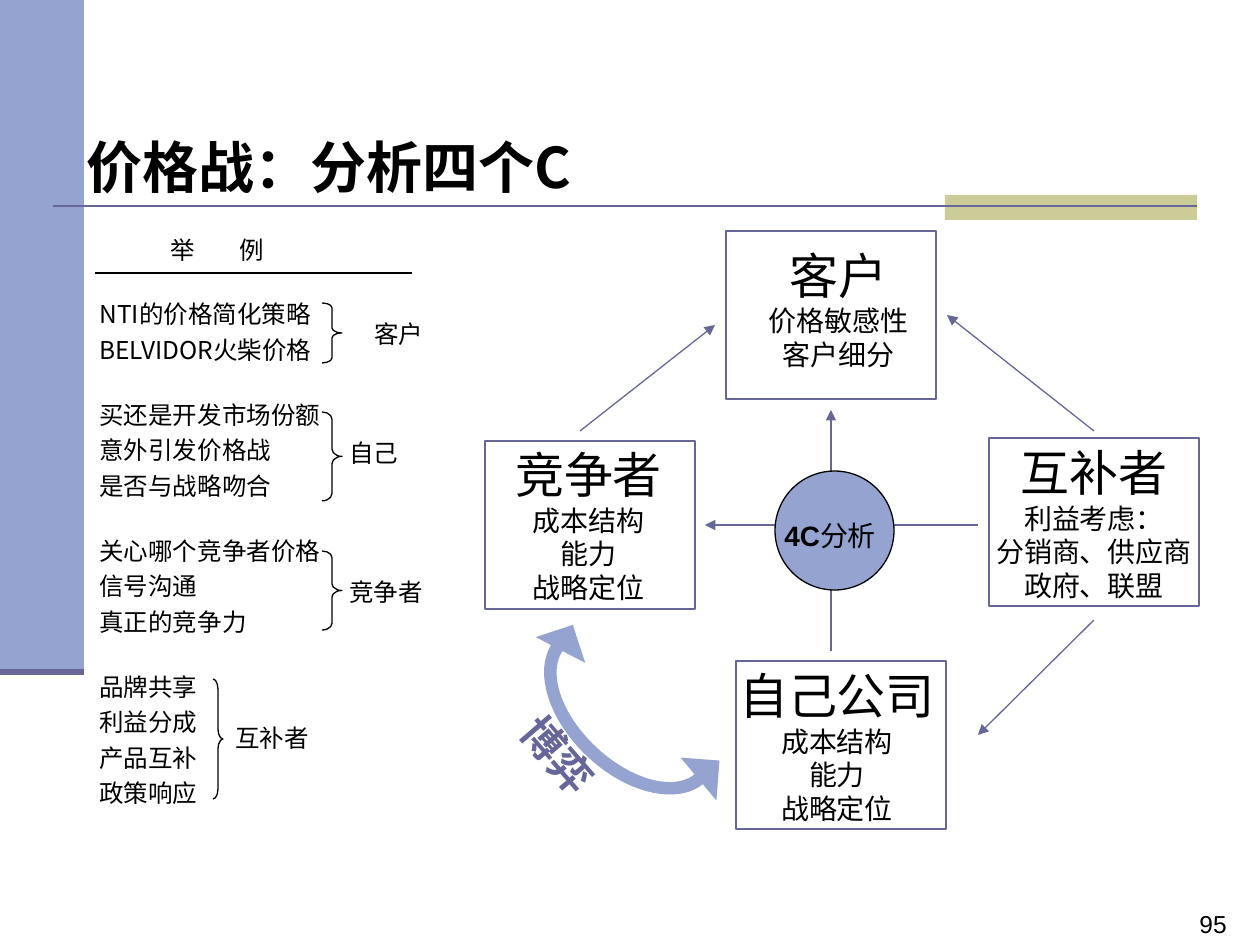
from dataclasses import dataclass

import pptx
import pptx.dml.color
import pptx.enum.shapes
import pptx.enum.text
import pptx.oxml.ns
import pptx.util
from lxml import etree

RGB = pptx.dml.color.RGBColor
SHAPE = pptx.enum.shapes.MSO_SHAPE
ALIGN = pptx.enum.text.PP_ALIGN
ANCHOR = pptx.enum.text.MSO_ANCHOR
Pt = pptx.util.Pt
qn = pptx.oxml.ns.qn

BLUE = RGB(0x95, 0xA3, 0xD1)
VIOLET = RGB(0x66, 0x66, 0x99)
KHAKI = RGB(0xCC, 0xCC, 0x99)
BLACK = RGB(0, 0, 0)
SANS = "Noto Sans CJK SC"
ARIAL = "Arial"
PX_PER_INCH = 126

HEADING = {"size": Pt(28), "name": ARIAL}
DETAIL = {"size": Pt(16), "name": ARIAL}
SMALL = {"size": Pt(14), "name": SANS}


@dataclass(frozen=True)
class Box:
    x: int
    y: int
    w: int
    h: int


@dataclass(frozen=True)
class Party:
    frame: Box
    text: Box
    heading: str
    details: tuple[str, ...]


@dataclass(frozen=True)
class ExampleGroup:
    lines: tuple[str, ...]
    brace: Box
    label: str
    label_box: Box


PARTIES = (
    Party(Box(726, 231, 210, 168), Box(756, 239, 165, 139), "客户", ("价格敏感性", "客户细分")),
    Party(Box(485, 441, 210, 168), Box(503, 438, 171, 173), "竞争者", ("成本结构", "能力", "战略定位")),
    Party(Box(736, 661, 210, 168), Box(727, 659, 220, 173), "自己公司", ("成本结构", "能力", "战略定位")),
    Party(Box(989, 438, 210, 168), Box(984, 436, 220, 173), "互补者",
          ("利益考虑：", "分销商、供应商", "政府、联盟")),
)
GROUPS = (
    ExampleGroup(("NTI的价格简化策略", "BELVIDOR火柴价格"),
                 Box(322, 303, 20, 60), "客户", Box(362, 313, 74, 43)),
    ExampleGroup(("买还是开发市场份额", "意外引发价格战", "是否与战略吻合"),
                 Box(322, 412, 20, 89), "自己", Box(337, 432, 74, 43)),
    ExampleGroup(("关心哪个竞争者价格", "信号沟通", "真正的竞争力"),
                 Box(322, 551, 20, 79), "竞争者", Box(337, 571, 98, 43)),
    ExampleGroup(("品牌共享", "利益分成", "产品互补", "政策响应"),
                 Box(213, 679, 10, 120), "互补者", Box(223, 717, 98, 43)),
)
# Start x, start y, end x, end y
ARROWS = (
    (580, 431, 715, 325),
    (1094, 431, 947, 315),
    (1094, 620, 978, 735),
    (831, 651, 831, 410),
    (978, 525, 705, 525),
)


def px(n: int) -> pptx.util.Emu:
    return pptx.util.Emu(round(n * 914400 / PX_PER_INCH))


def place(box: Box) -> tuple:
    return px(box.x), px(box.y), px(box.w), px(box.h)


def add_shape(s, kind, box: Box, fill=None, line=None, rotation: float = 0):
    sp = s.shapes.add_shape(kind, *place(box))
    sp.shadow.inherit = False
    sp.rotation = rotation
    if fill is None:
        sp.fill.background()
    else:
        sp.fill.solid()
        sp.fill.fore_color.rgb = fill
    if line is None:
        sp.line.fill.background()
    else:
        sp.line.color.rgb = line
        sp.line.width = Pt(0.75)
    return sp


def add_line(s, ends: tuple, color=VIOLET, width: float = 0.75, arrow: bool = False) -> None:
    c = s.shapes.add_connector(pptx.enum.shapes.MSO_CONNECTOR.STRAIGHT, *map(px, ends))
    c.line.color.rgb = color
    c.line.width = Pt(width)
    if arrow:
        etree.SubElement(c.line._get_or_add_ln(), qn("a:tailEnd"), type="triangle")
    etree.SubElement(c._element.spPr, qn("a:effectLst"))


def add_run(p, text: str, fmt: dict) -> None:
    r = p.add_run()
    r.text = text
    r.font.color.rgb = BLACK
    for key, value in fmt.items():
        if key == "color":
            r.font.color.rgb = value
        else:
            setattr(r.font, key, value)
    etree.SubElement(r.font._element, qn("a:ea"), typeface=SANS)


def add_text(s, box: Box, paragraphs: list, align=ALIGN.LEFT):
    """Each paragraph is a list of (text, format) runs."""
    sp = s.shapes.add_textbox(*place(box))
    tf = sp.text_frame
    tf.word_wrap = True
    # Side margins are dropped where they would only narrow the line
    tf.margin_right = 0
    if align == ALIGN.CENTER:
        tf.margin_left = 0
    for i, runs in enumerate(paragraphs):
        p = tf.paragraphs[0] if i == 0 else tf.add_paragraph()
        p.alignment = align
        for text, fmt in runs:
            add_run(p, text, fmt)
    return sp


def add_party(s, party: Party) -> None:
    add_shape(s, SHAPE.RECTANGLE, party.frame, line=VIOLET)
    paragraphs = [[(party.heading, HEADING)]] + [[(d, DETAIL)] for d in party.details]
    add_text(s, party.text, paragraphs, ALIGN.CENTER)


def add_examples(s) -> None:
    # Column heading, its two characters set apart by a tab stop
    sp = add_text(s, Box(158, 229, 184, 43), [[("举\t例", SMALL)]])
    p_pr = sp.text_frame.paragraphs[0]._p.get_or_add_pPr()
    tabs = etree.SubElement(p_pr, qn("a:tabLst"))
    etree.SubElement(tabs, qn("a:tab"), pos=str(px(69)), algn="l")
    add_line(s, (95, 273, 412, 273), BLACK)

    # Example list, with a wider gap before each group
    lines = [[(text, SMALL)] for g in GROUPS for text in g.lines]
    sp = add_text(s, Box(87, 293, 315, 539), lines)
    starts = {g.lines[0] for g in GROUPS}
    for p in sp.text_frame.paragraphs[1:]:
        p.space_before = Pt(20.3 if p.text in starts else 3.5)

    # Braces and their labels
    for g in GROUPS:
        brace = add_shape(s, SHAPE.RIGHT_BRACE, g.brace, line=BLACK)
        brace.adjustments[0] = g.brace.h / (12 * g.brace.w)
        add_text(s, g.label_box, [[(g.label, SMALL)]])


def add_game_arrow(s) -> None:
    # Half ring from 180 degrees round to 0, with a tenth of the height as band
    arc = add_shape(s, SHAPE.BLOCK_ARC, Box(528, 645, 207, 129), BLUE, rotation=223.2)
    for i, value in enumerate((180 * 0.6, 0, 0.1)):
        arc.adjustments[i] = value
    for box, angle in ((Box(679, 759, 39, 40), 184.4), (Box(541, 630, 39, 40), 161.8)):
        add_shape(s, SHAPE.RIGHT_TRIANGLE, box, BLUE, rotation=angle)
    fmt = {"size": Pt(24), "name": ARIAL, "bold": True, "color": VIOLET}
    add_text(s, Box(504, 723, 108, 63), [[("博弈", fmt)]]).rotation = 49.2


def main() -> None:
    prs = pptx.Presentation()
    prs.slide_width, prs.slide_height = px(1260), px(945)
    s = prs.slides.add_slide(prs.slide_layouts[6])

    # Side band, title rule and page number
    add_shape(s, SHAPE.RECTANGLE, Box(0, 0, 84, 672), BLUE)
    add_shape(s, SHAPE.RECTANGLE, Box(945, 195, 252, 25), KHAKI)
    add_line(s, (53, 206, 1197, 206), width=1.5)
    add_line(s, (0, 672, 84, 672), width=3.5)
    add_text(s, Box(1187, 903, 105, 43), [[("95", {"size": Pt(14), "name": ARIAL})]])

    # Title
    title = {"size": Pt(32), "name": SANS, "bold": True}
    sp = add_text(s, Box(74, 87, 1071, 158), [[("价格战：分析四个C", title)]])
    sp.text_frame.vertical_anchor = ANCHOR.MIDDLE

    add_examples(s)

    # Four parties around the centre
    for party in PARTIES:
        add_party(s, party)
    for ends in ARROWS:
        add_line(s, ends, arrow=True)
    add_shape(s, SHAPE.OVAL, Box(775, 471, 119, 119), BLUE, BLACK)
    add_text(s, Box(772, 512, 123, 47), [[("4C", DETAIL | {"bold": True}), ("分析", DETAIL)]])

    add_game_arrow(s)
    prs.save("out.pptx")


if __name__ == "__main__":
    main()
